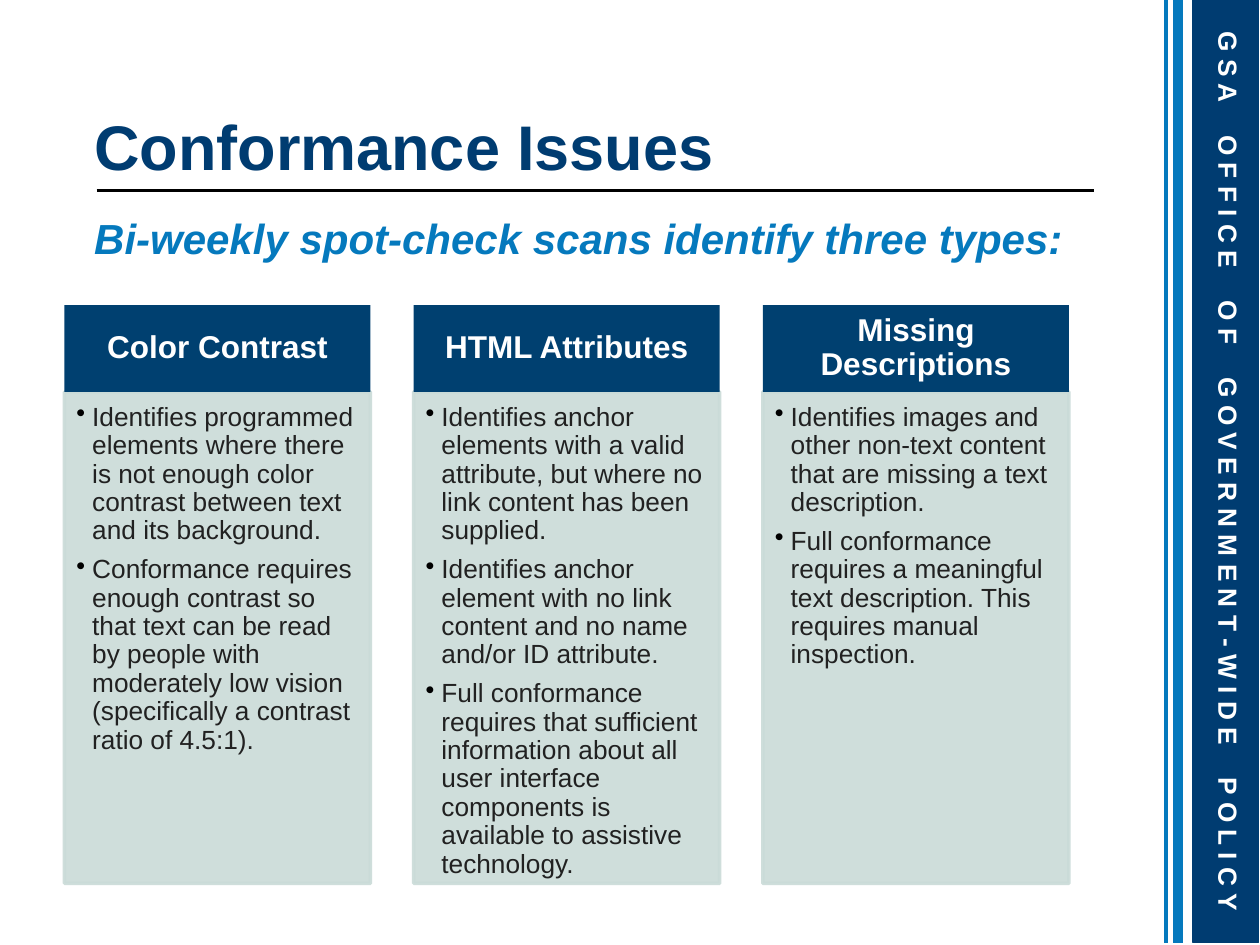
from lxml.etree import SubElement
from pptx import Presentation
from pptx.dml.color import RGBColor
from pptx.enum.shapes import MSO_CONNECTOR as Link, MSO_SHAPE as Shape
from pptx.enum.text import MSO_ANCHOR as Anchor, MSO_AUTO_SIZE as Fit, PP_ALIGN as Align
from pptx.oxml.ns import qn
from pptx.util import Cm, Pt

NAVY = RGBColor(0x00, 0x3C, 0x71)
HEAD = RGBColor(0x00, 0x40, 0x70)
BLUE = RGBColor(0x05, 0x79, 0xBD)
SAGE = RGBColor(0xCA, 0xDB, 0xD8)
INK = RGBColor(0x21, 0x21, 0x21)
BLACK = RGBColor(0, 0, 0)
WHITE = RGBColor(0xFF, 0xFF, 0xFF)

OFFICE = "GSA OFFICE OF GOVERNMENT-WIDE POLICY"
ISSUES = [
    ("Color Contrast", [
        "Identifies programmed elements where there is not enough color contrast "
        "between text and its background.",
        "Conformance requires enough contrast so that text can be read by people with "
        "moderately low vision (specifically a contrast ratio of 4.5:1)."]),
    ("HTML Attributes", [
        "Identifies anchor elements with a valid attribute, but where no link content "
        "has been supplied.",
        "Identifies anchor element with no link content and no name and/or ID attribute.",
        "Full conformance requires that sufficient information about all user interface "
        "components is available to assistive technology."]),
    ("Missing Descriptions", [
        "Identifies images and other non-text content that are missing a text description.",
        "Full conformance requires a meaningful text description. "
        "This requires manual inspection."]),
]


def add_bullet(para):
    props = para._p.get_or_add_pPr()
    props.set("marL", str(Cm(0.32)))
    props.set("indent", str(-Cm(0.32)))
    color = SubElement(props, qn("a:buClr"))
    SubElement(color, qn("a:srgbClr"), val=str(BLACK))
    SubElement(props, qn("a:buChar"), char="•")


def write(shape, lines, size, color, bold=False, italic=False, align=Align.LEFT,
          anchor=Anchor.TOP, inset=(0.25, 0.25, 0.25, 0.25), leading=None,
          before=0, after=0, bullet=False):
    """Fill a shape with paragraphs in one format; inset is left, top, right, bottom in cm."""
    frame = shape.text_frame
    frame.word_wrap, frame.auto_size = True, Fit.NONE
    frame.vertical_anchor = anchor
    (frame.margin_left, frame.margin_top,
     frame.margin_right, frame.margin_bottom) = map(Cm, inset)
    for i, line in enumerate(lines):
        para = frame.add_paragraph() if i else frame.paragraphs[0]
        para.alignment, para.line_spacing = align, leading
        para.space_before, para.space_after = Pt(before if i else 0), Pt(after)
        if bullet:
            add_bullet(para)
        run = para.add_run()
        run.text = line
        style(run.font, size, color, bold, italic)


def style(font, size, color, bold=False, italic=False):
    font.name, font.size = "Arial", Pt(size)
    font.bold, font.italic = bold, italic
    font.color.rgb = color


def add_box(slide, x, y, w, h, fill):
    box = slide.shapes.add_shape(Shape.RECTANGLE, Cm(x), Cm(y), Cm(w), Cm(h))
    box.shadow.inherit = False
    box.fill.solid()
    box.fill.fore_color.rgb = fill
    box.line.fill.background()
    return box


def add_line(slide, x1, y1, x2, y2, color, width):
    line = slide.shapes.add_connector(Link.STRAIGHT, Cm(x1), Cm(y1), Cm(x2), Cm(y2))
    line.line.color.rgb, line.line.width = color, Pt(width)
    SubElement(line._element.spPr, qn("a:effectLst"))


def fade(box, percent):
    for color in box._element.spPr.iter(qn("a:srgbClr")):
        SubElement(color, qn("a:alpha"), val=str(percent * 1000))


def add_band(slide, x, y, w, h):
    """Side band with two stripes on its left and the office name running down."""
    band = add_box(slide, x, y, w, h, NAVY)
    band.line.color.rgb, band.line.width = NAVY, Pt(0.75)
    for gap, width in ((0.3, 6), (0.55, 2.25)):
        add_line(slide, x - gap, y, x - gap, y + h, BLUE, width)
    span, deep = 19.05, 1.6
    label = slide.shapes.add_textbox(Cm(x + 0.72 - span / 2), Cm(y + (h - deep) / 2),
                                     Cm(span), Cm(deep))
    label.rotation = 90
    words = [" ".join(word) for word in OFFICE.split()]
    write(label, words[:1], 15, WHITE, bold=True, align=Align.CENTER, anchor=Anchor.MIDDLE)
    para = label.text_frame.paragraphs[0]
    for word in words[1:]:
        for text, track in ((" ", 1460), (word, 0)):
            run = para.add_run()
            run.text = text
            style(run.font, 15, WHITE, bold=True)
            run.font._element.set("spc", str(track))


def add_heading(slide, x, y, w, h):
    title = slide.shapes.title
    title.left, title.top, title.width, title.height = Cm(x), Cm(y), Cm(w), Cm(h)
    write(title, ["Conformance Issues"], 36, NAVY, bold=True, anchor=Anchor.BOTTOM)
    add_line(slide, x + 0.3, y + h - 0.1, x + w, y + h - 0.1, BLACK, 1.5)
    lead = slide.shapes.add_textbox(Cm(x), Cm(y + h - 0.05), Cm(w), Cm(1.45))
    write(lead, ["Bi-weekly spot-check scans identify three types:"], 24, BLUE,
          bold=True, italic=True, leading=1.15, after=16)


def add_card(slide, x, y, w, h, name, points):
    top = 1.75
    body = add_box(slide, x, y + top, w, h - top, SAGE)
    body.line.color.rgb, body.line.width = SAGE, Pt(2)
    fade(body, 90)
    write(body, points, 15, INK, inset=(0.24, 0.24, 0.32, 0.32), leading=0.9,
          before=6, bullet=True)
    head = add_box(slide, x, y, w, top, HEAD)
    write(head, [name], 18, WHITE, bold=True, align=Align.CENTER, anchor=Anchor.MIDDLE,
          inset=(0.36, 0.2, 0.36, 0.2), leading=0.9)


def add_cards(slide, x, y, w, h, gap=0.87):
    wide = (w - gap * (len(ISSUES) - 1)) / len(ISSUES)
    for i, (name, points) in enumerate(ISSUES):
        add_card(slide, x + i * (wide + gap), y, wide, h, name, points)


def main():
    deck = Presentation()
    deck.slide_width, deck.slide_height = Cm(25.4), Cm(19.05)
    slide = deck.slides.add_slide(deck.slide_layouts[5])
    add_band(slide, 24.05, 0, 1.32, 19)
    add_heading(slide, 1.65, 0.69, 20.4, 3.25)
    add_cards(slide, 1.3, 6.15, 20.25, 11.66)
    deck.save("out.pptx")


if __name__ == "__main__":
    main()
